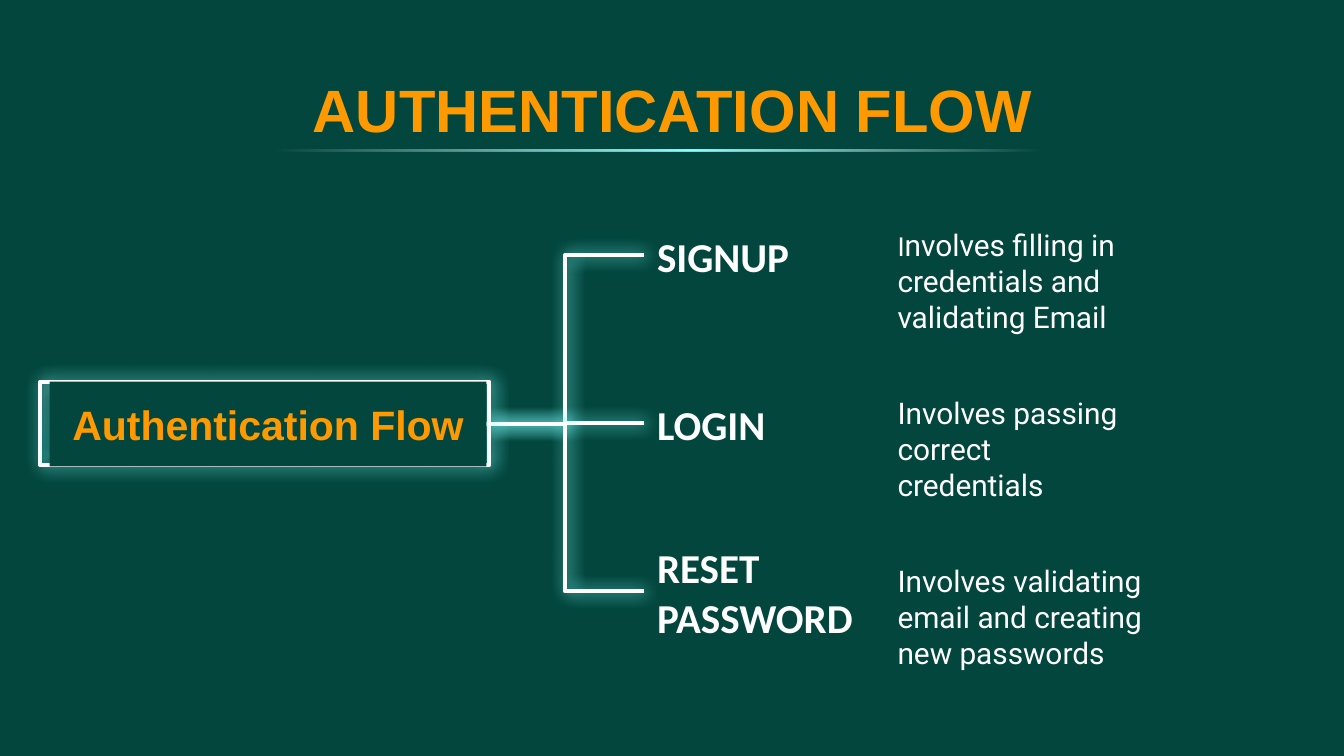
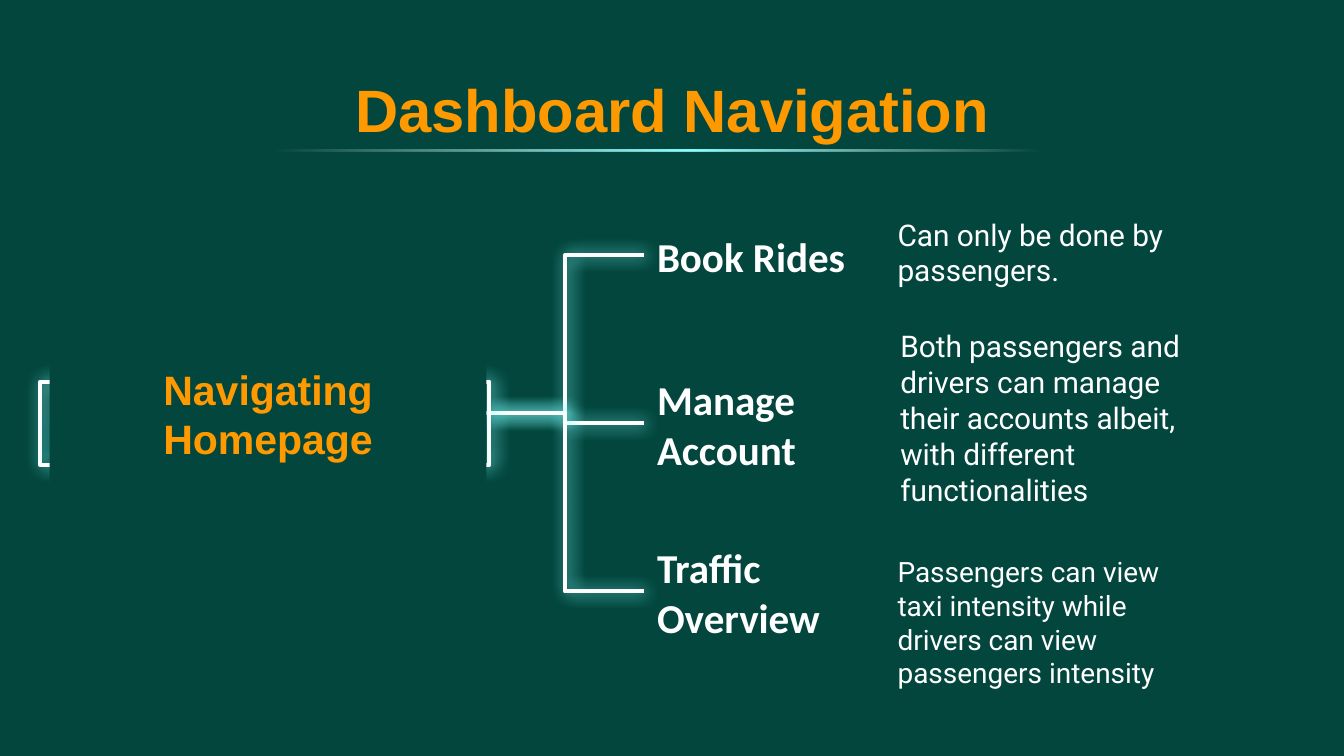
from pptx import Presentation
from pptx.dml.color import RGBColor
from pptx.enum.shapes import MSO_CONNECTOR, MSO_SHAPE
from pptx.enum.text import MSO_ANCHOR, MSO_AUTO_SIZE, PP_ALIGN
from pptx.oxml import parse_xml
from pptx.oxml.ns import nsdecls, qn
from pptx.util import Inches, Pt

# Shared look
GREEN, ORANGE, WHITE, AQUA = "02463D", "FF9900", "FFFFFF", "00FFFF"
TITLE = {"name": "Arial", "bold": True, "size": 32, "color": ORANGE}
HUB = {"name": "Arial", "bold": True, "size": 22, "color": ORANGE}
BRANCH = {"name": "Calibri", "bold": True, "size": 22, "color": WHITE}
DETAIL = {"name": "Roboto", "bold": False, "size": 16, "color": WHITE}
GLOW = (f'<a:effectLst {nsdecls("a")}><a:outerShdw blurRad="114300" dist="19050" dir="0" '
        'algn="bl" rotWithShape="0"><a:srgbClr val="7EFFFF"/></a:outerShdw></a:effectLst>')

# Gradients: (position %, colour, opacity %) stops and angle
RULE_FADE = [(0, WHITE, 0), (11, WHITE, 0), (48, "8CFFFF", 100), (92, WHITE, 0), (100, WHITE, 0)], 180
FRAME_FADE = [(0, "0A3250", 8), (100, "010101", 8)], 90
SHINE_FADE = [(0, AQUA, 8), (100, WHITE, 8)], 270

# Grid: branch rows, columns, and the frame round the hub
ROWS = [1.9 + 1.25 * row for row in range(3)]
HUB_LEFT, HUB_RIGHT, BRANCH_LEFT, DETAIL_LEFT = 0.37, 3.62, 4.79, 6.58
LEFT, RIGHT, TOP, BOTTOM = 0.3, 3.64, 2.84, 3.46
FRAME_PARTS = [
    ([(LEFT, TOP), (RIGHT, TOP), (RIGHT, BOTTOM), (LEFT, BOTTOM)], FRAME_FADE),
    ([(LEFT, TOP), (LEFT, BOTTOM), (0.95, TOP)], SHINE_FADE),
    ([(3.19, TOP), (2.57, BOTTOM), (RIGHT, BOTTOM), (RIGHT, TOP)], SHINE_FADE),
]

# Each branch: label, (left, top, width) of its detail, paragraphs of (text, size) runs
FLOWS = [
    ("AUTHENTICATION FLOW", "Authentication Flow", (2.84, 0.63), [
        ("SIGNUP", (DETAIL_LEFT, 1.59, 2.32),
         [[("I", 14), ("nvolves filling in credentials and validating Email", 16)]]),
        ("LOGIN", (DETAIL_LEFT, 2.84, 2.32),
         [[("Involves passing correct", 16)], [("credentials", 16)]]),
        ("RESET PASSWORD", (DETAIL_LEFT, 4.09, 2.32),
         [[("Involves validating email and creating new passwords", 16)]]),
    ]),
    ("Dashboard Navigation", "Navigating Homepage", (2.29, 1.57), [
        ("Book Rides", (DETAIL_LEFT, 1.51, 2.53),
         [[("Can only be done by passengers.", 16)]]),
        ("Manage Account", (6.6, 2.34, 2.32),
         [[("Both passengers and drivers can manage their accounts albeit, "
            "with different functionalities", 16)]]),
        ("Traffic Overview", (DETAIL_LEFT, 4.03, 2.32),
         [[("Passengers can view taxi intensity while drivers can view "
            "passengers intensity", 15)]]),
    ]),
]


def paint(fill, color):
    fill.solid()
    fill.fore_color.rgb = RGBColor.from_string(color)


def write(shape, paragraphs, style, align=PP_ALIGN.LEFT, anchor=MSO_ANCHOR.MIDDLE):
    frame = shape.text_frame
    frame_format = {"word_wrap": True, "auto_size": MSO_AUTO_SIZE.NONE, "vertical_anchor": anchor}
    frame_format |= {f"margin_{side}": Inches(0.1) for side in ("left", "right", "top", "bottom")}
    for name, value in frame_format.items():
        setattr(frame, name, value)
    for number, runs in enumerate(paragraphs):
        paragraph = frame.add_paragraph() if number else frame.paragraphs[0]
        paragraph.alignment = align
        for text, size in runs:
            run = paragraph.add_run()
            run.text = text
            for name, value in {"name": style["name"], "bold": style["bold"], "size": Pt(size)}.items():
                setattr(run.font, name, value)
            paint(run.font.fill, style["color"])


deck = Presentation()
deck.slide_width, deck.slide_height = Inches(10), Inches(5.625)
paint(deck.slide_master.background.fill, GREEN)

for heading, hub_text, (hub_top, hub_height), branches in FLOWS:
    slide = deck.slides.add_slide(deck.slide_layouts[5])
    shapes = slide.shapes
    glowing, faded = [], []

    # Title and the fading rule under it
    title = shapes.title
    for name, value in {"left": 0.79, "top": 0.49, "width": 8.43, "height": 0.63}.items():
        setattr(title, name, Inches(value))
    write(title, [[(heading, TITLE["size"])]], TITLE, PP_ALIGN.CENTER)
    rule = shapes.add_shape(MSO_SHAPE.RECTANGLE, *map(Inches, (1.48, 1.11, 7.04, 0.02)))
    rule.line.fill.background()
    faded.append((rule, RULE_FADE))

    # Connectors from the hub to the branches
    hub_middle = hub_top + hub_height / 2
    for row in ROWS:
        ends = map(Inches, (HUB_RIGHT, hub_middle, BRANCH_LEFT, row))
        glowing.append(shapes.add_connector(MSO_CONNECTOR.ELBOW, *ends))

    # Glowing frame with its two shines
    frame_group = shapes.add_group_shape()
    for corners, fade in FRAME_PARTS:
        points = [(Inches(x), Inches(y)) for x, y in corners]
        outline = frame_group.shapes.build_freeform(*points[0])
        outline.add_line_segments(points[1:], close=True)
        part = outline.convert_to_shape()
        part.line.fill.background()
        part.shadow.inherit = False
        faded.append((part, fade))
        if fade is FRAME_FADE:
            glowing.append(part)

    # Hub
    hub = shapes.add_shape(MSO_SHAPE.RECTANGLE, *map(
        Inches, (HUB_LEFT, hub_top, HUB_RIGHT - HUB_LEFT, hub_height)))
    paint(hub.fill, GREEN)
    hub.line.fill.background()
    write(hub, [[(hub_text, HUB["size"])]], HUB, PP_ALIGN.CENTER)
    for plain in (rule, hub):
        plain.shadow.inherit = False

    # Branch labels and details
    for row, (label, (left, top, width), detail) in zip(ROWS, branches):
        branch = shapes.add_textbox(*map(
            Inches, (BRANCH_LEFT, row - 0.23, DETAIL_LEFT - BRANCH_LEFT, 0.47)))
        write(branch, [[(label, BRANCH["size"])]], BRANCH)
        note = shapes.add_textbox(*map(Inches, (left, top, width, 0.63)))
        write(note, detail, DETAIL, anchor=MSO_ANCHOR.TOP)

    # Gradients, then white lines with a glow
    for shape, (stops, angle) in faded:
        shape.fill.gradient()
        stop_list = "".join(
            f'<a:gs pos="{position * 1000}"><a:srgbClr val="{color}">'
            f'<a:alpha val="{opacity * 1000}"/></a:srgbClr></a:gs>'
            for position, color, opacity in stops)
        properties = shape._element.spPr
        properties.replace(properties.find(qn("a:gradFill")), parse_xml(
            f'<a:gradFill {nsdecls("a")} rotWithShape="1"><a:gsLst>{stop_list}</a:gsLst>'
            f'<a:lin ang="{angle * 60000}" scaled="0"/></a:gradFill>'))
    for shape in glowing:
        paint(shape.line.fill, WHITE)
        shape.line.width = Pt(2.25)
        properties = shape._element.spPr
        for effects in properties.findall(qn("a:effectLst")):
            properties.remove(effects)
        properties.append(parse_xml(GLOW))

deck.save("out.pptx")
